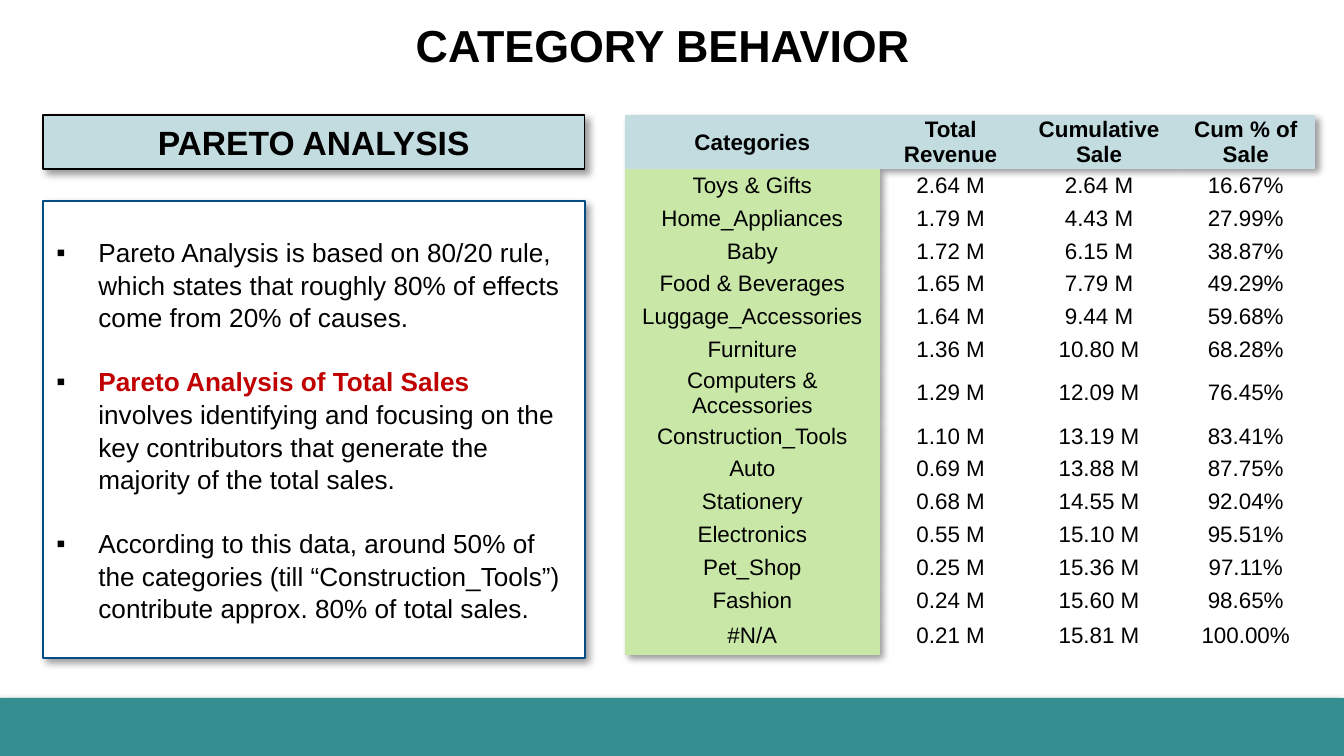
"""Build the category behavior slide with its Pareto analysis table."""
from lxml import etree
from pptx import Presentation
from pptx.dml.color import RGBColor
from pptx.enum.shapes import MSO_SHAPE
from pptx.enum.text import MSO_ANCHOR, MSO_AUTO_SIZE, PP_ALIGN
from pptx.oxml.ns import qn
from pptx.util import Pt

RECTANGLE = MSO_SHAPE.RECTANGLE
MIDDLE, BOTTOM = MSO_ANCHOR.MIDDLE, MSO_ANCHOR.BOTTOM
CENTER, LEFT = PP_ALIGN.CENTER, PP_ALIGN.LEFT
NO_AUTOFIT = MSO_AUTO_SIZE.NONE
FONT = "Arial"
NO_GRID_STYLE = "{2D5ABB26-0587-4C30-8999-92F81FD0307C}"
COLORS = {
    "black": "000000", "white": "FFFFFF", "teal": "348E90", "pale": "C2DCE0",
    "green": "C9E7A7", "navy": "004D86", "red": "C00000",
}


def add_span(para, text, size, bold=False, color="black"):
    """Add one formatted run to a paragraph."""
    span = para.add_run()
    span.text = text
    span.font.name = FONT
    span.font.size = Pt(size)
    span.font.bold = bold
    span.font.color.rgb = RGBColor.from_string(COLORS[color])


def add_shadow(properties, degrees):
    """Append a soft outer shadow to shape or table properties."""
    for old in properties.findall(qn("a:effectLst")):
        properties.remove(old)
    effects = etree.SubElement(properties, qn("a:effectLst"))
    shadow = etree.SubElement(
        effects, qn("a:outerShdw"), blurRad=str(Pt(4)), dist=str(Pt(3)),
        dir=str(degrees * 60000), algn="tl", rotWithShape="0")
    color = etree.SubElement(shadow, qn("a:srgbClr"), val=COLORS["black"])
    etree.SubElement(color, qn("a:alpha"), val="40000")


deck = Presentation()
deck.slide_width, deck.slide_height = Pt(720), Pt(405)
page = deck.slides.add_slide(deck.slide_layouts[1])

title, body = page.placeholders[0], page.placeholders[1]
title.left, title.top, title.width, title.height = Pt(39.6), Pt(2.9), Pt(630.7), Pt(42.5)
frame = title.text_frame
frame.auto_size = NO_AUTOFIT
frame.vertical_anchor = BOTTOM
frame.margin_top = frame.margin_bottom = Pt(7.2)
frame.paragraphs[0].alignment = CENTER
add_span(frame.paragraphs[0], "CATEGORY BEHAVIOR", 24, True)

footer = page.shapes.add_shape(RECTANGLE, Pt(0), Pt(373.9), Pt(720), Pt(31.1))
heading = page.shapes.add_shape(RECTANGLE, Pt(23), Pt(61.5), Pt(290.2), Pt(29))
body.left, body.top, body.width, body.height = Pt(23), Pt(107.8), Pt(290.2), Pt(244.8)

for box, fill, line, degrees in [
    (footer, "teal", None, 135),
    (heading, "pale", "black", 45),
    (body, "white", "navy", 45),
]:
    box.fill.solid()
    box.fill.fore_color.rgb = RGBColor.from_string(COLORS[fill])
    if line:
        box.line.color.rgb = RGBColor.from_string(COLORS[line])
        box.line.width = Pt(1)
    else:
        box.line.fill.background()
    add_shadow(box.element.spPr, degrees)

frame = heading.text_frame
frame.word_wrap = True
frame.vertical_anchor = MIDDLE
frame.paragraphs[0].alignment = CENTER
add_span(frame.paragraphs[0], "PARETO ANALYSIS", 18, True)

points = [
    [("Pareto Analysis is based on 80/20 rule, which states that roughly 80% "
      "of effects come from 20% of causes.", False, "black")],
    [("Pareto Analysis of Total Sales ", True, "red"),
     ("involves identifying and focusing on the key contributors that "
      "generate the majority of the total sales.", False, "black")],
    [("According to this data, around 50% of the categories (till "
      "“Construction_Tools”) contribute approx. 80% of total sales.", False, "black")],
]
frame = body.text_frame
frame.auto_size = NO_AUTOFIT
frame.vertical_anchor = MIDDLE
for index, spans in enumerate(points):
    para = frame.paragraphs[0] if index == 0 else frame.add_paragraph()
    para.alignment = LEFT
    para.line_spacing = 1.04
    para.space_before = Pt(16.8 if index else 0)
    para.space_after = Pt(0)
    settings = para._p.get_or_add_pPr()
    settings.set("marL", str(Pt(22.5)))
    settings.set("indent", str(Pt(-22.5)))
    bullet_color = etree.SubElement(settings, qn("a:buClr"))
    etree.SubElement(bullet_color, qn("a:srgbClr"), val=COLORS["black"])
    etree.SubElement(settings, qn("a:buFont"), typeface=FONT)
    etree.SubElement(settings, qn("a:buChar"), char="▪")
    for text, bold, color in spans:
        add_span(para, text, 14, bold, color)

rows = [
    ("Categories", "Total Revenue", "Cumulative Sale", "Cum % of Sale"),
    ("Toys & Gifts", "2.64 M", "2.64 M", "16.67%"),
    ("Home_Appliances", "1.79 M", "4.43 M", "27.99%"),
    ("Baby", "1.72 M", "6.15 M", "38.87%"),
    ("Food & Beverages", "1.65 M", "7.79 M", "49.29%"),
    ("Luggage_Accessories", "1.64 M", "9.44 M", "59.68%"),
    ("Furniture", "1.36 M", "10.80 M", "68.28%"),
    ("Computers & Accessories", "1.29 M", "12.09 M", "76.45%"),
    ("Construction_Tools", "1.10 M", "13.19 M", "83.41%"),
    ("Auto", "0.69 M", "13.88 M", "87.75%"),
    ("Stationery", "0.68 M", "14.55 M", "92.04%"),
    ("Electronics", "0.55 M", "15.10 M", "95.51%"),
    ("Pet_Shop", "0.25 M", "15.36 M", "97.11%"),
    ("Fashion", "0.24 M", "15.60 M", "98.65%"),
    ("#N/A", "0.21 M", "15.81 M", "100.00%"),
]
widths = [136.5, 76, 83, 74.2]
special_heights = {0: 29, 7: 29, 14: 21}
table = page.shapes.add_table(
    len(rows), len(widths), Pt(334.8), Pt(61.5), Pt(sum(widths)), Pt(290)).table
table.horz_banding = False
table_settings = table._tbl.tblPr
table_settings.find(qn("a:tableStyleId")).text = NO_GRID_STYLE
add_shadow(table_settings, 45)
table_settings.insert(0, table_settings.find(qn("a:effectLst")))
for column, width in zip(table.columns, widths):
    column.width = Pt(width)
for row_index, values in enumerate(rows):
    table.rows[row_index].height = Pt(special_heights.get(row_index, 17.55))
    for column_index, value in enumerate(values):
        cell = table.cell(row_index, column_index)
        cell.vertical_anchor = MIDDLE
        cell.margin_left = cell.margin_right = cell.margin_top = Pt(0.5)
        cell.margin_bottom = Pt(0)
        if row_index == 0 or column_index == 0:
            cell.fill.solid()
            fill = "green" if row_index else "pale"
            cell.fill.fore_color.rgb = RGBColor.from_string(COLORS[fill])
        else:
            cell.fill.background()
        para = cell.text_frame.paragraphs[0]
        para.alignment = CENTER
        add_span(para, value, 12, row_index == 0)

deck.save("out.pptx")
